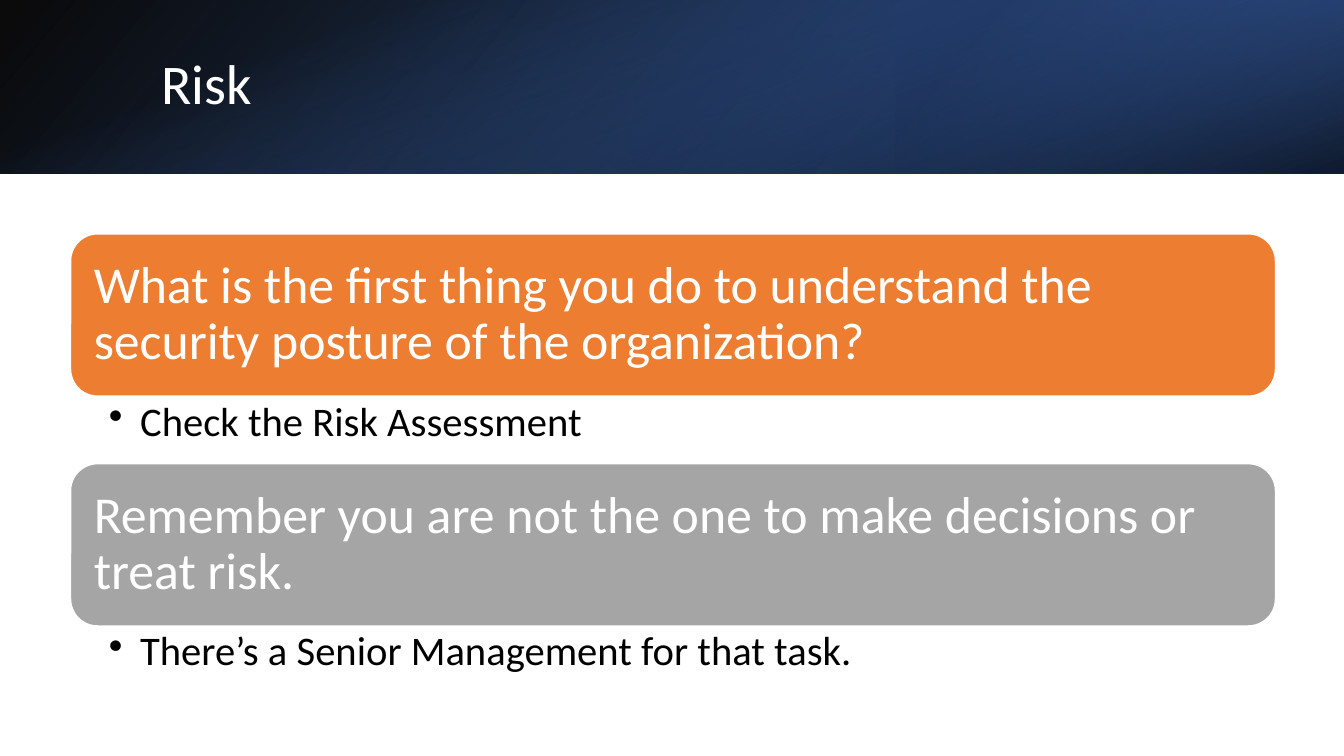
from dataclasses import dataclass

from lxml.etree import SubElement
from pptx import Presentation
from pptx.dml.color import RGBColor
from pptx.enum.shapes import MSO_SHAPE
from pptx.enum.text import MSO_ANCHOR, PP_ALIGN
from pptx.oxml.ns import qn
from pptx.shapes.autoshape import Shape
from pptx.slide import Slide
from pptx.util import Inches, Pt


@dataclass(frozen=True)
class Theme:
    """Colours, font and type sizes of the slide."""
    font: str = "Calibri"
    white: str = "FFFFFF"
    black: str = "000000"
    deep_blue: str = "2F5597"
    navy: str = "203864"
    blue: str = "4472C4"
    orange: str = "ED7D31"
    gray: str = "A5A5A5"
    title_size: int = 40
    card_size: int = 37
    bullet_size: int = 29


@dataclass(frozen=True)
class Frame:
    """A rectangle in inches."""
    left: float
    top: float
    width: float
    height: float

    def lengths(self) -> tuple:
        """Return the four measures as lengths."""
        return tuple(map(Inches, (self.left, self.top, self.width, self.height)))


@dataclass(frozen=True)
class Stop:
    """A gradient stop; position and opacity are percentages."""
    position: int
    color: str
    opacity: int


@dataclass(frozen=True)
class BannerLayer:
    """One translucent gradient layer of the title banner."""
    frame: Frame
    stops: tuple[Stop, ...]
    angle: int
    rotation: int = 0
    mirrored: bool = False


@dataclass(frozen=True)
class Topic:
    """A coloured statement and the bullet below it."""
    statement: str
    answer: str
    color: str


THEME = Theme()
SLIDE_WIDTH, SLIDE_HEIGHT = 13.33, 7.5
BANNER_HEIGHT = 1.72
TURNED_OFFSET = (SLIDE_WIDTH - BANNER_HEIGHT) / 2
CARD_LEFT, CARD_TOP, CARD_WIDTH, CARD_HEIGHT = 0.7, 2.32, 11.95, 1.61
CARD_INSET = 0.08
BULLET_HEIGHT = 0.67
BULLET_INDENT = 0.31

BANNER = (
    BannerLayer(Frame(0, 0, SLIDE_WIDTH, BANNER_HEIGHT),
                (Stop(0, THEME.black, 96), Stop(100, THEME.deep_blue, 100)),
                angle=140, mirrored=True),
    BannerLayer(Frame(SLIDE_WIDTH * 2 / 3, 0, SLIDE_WIDTH / 3, BANNER_HEIGHT),
                (Stop(19, THEME.navy, 68), Stop(100, THEME.blue, 79)),
                angle=320, rotation=180, mirrored=True),
    BannerLayer(Frame(TURNED_OFFSET, -TURNED_OFFSET, BANNER_HEIGHT, SLIDE_WIDTH),
                (Stop(23, THEME.blue, 0), Stop(99, THEME.black, 74)),
                angle=340, rotation=90),
)
TOPICS = (
    Topic("What is the first thing you do to understand the security posture "
          "of the organization?", "Check the Risk Assessment", THEME.orange),
    Topic("Remember you are not the one to make decisions or treat risk.",
          "There’s a Senior Management for that task.", THEME.gray),
)


def rgb(color: str) -> RGBColor:
    """Turn a hex string into a colour."""
    return RGBColor.from_string(color)


def set_gradient(shape: Shape, stops: tuple[Stop, ...], angle: int) -> None:
    """Fill a shape with a linear gradient of translucent stops."""
    shape.fill.gradient()
    gradient = shape.element.spPr.find(qn("a:gradFill"))
    gradient.clear()
    gradient.set("rotWithShape", "1")
    stop_list = SubElement(gradient, qn("a:gsLst"))
    for stop in stops:
        node = SubElement(stop_list, qn("a:gs"), pos=str(stop.position * 1000))
        color = SubElement(node, qn("a:srgbClr"), val=stop.color)
        SubElement(color, qn("a:alpha"), val=str(stop.opacity * 1000))
    SubElement(gradient, qn("a:lin"), ang=str(angle * 60000), scaled="0")


def add_layer(page: Slide, layer: BannerLayer) -> None:
    """Draw one layer of the banner."""
    shape = page.shapes.add_shape(MSO_SHAPE.RECTANGLE, *layer.frame.lengths())
    shape.shadow.inherit = False
    shape.line.fill.background()
    shape.rotation = layer.rotation
    if layer.mirrored:
        shape.element.spPr.find(qn("a:xfrm")).set("flipH", "1")
    set_gradient(shape, layer.stops, layer.angle)


def add_text(page: Slide, frame: Frame, text: str, size: int, color: str,
             insets: tuple[float, float, float, float] = (0.1, 0.05, 0.1, 0.05),
             anchor: MSO_ANCHOR = MSO_ANCHOR.MIDDLE, bulleted: bool = False) -> None:
    """Add one wrapped paragraph; insets run left, top, right, bottom."""
    body = page.shapes.add_textbox(*frame.lengths()).text_frame
    body.word_wrap = True
    body.vertical_anchor = anchor
    (body.margin_left, body.margin_top,
     body.margin_right, body.margin_bottom) = map(Inches, insets)
    para = body.paragraphs[0]
    para.text = text
    para.alignment = PP_ALIGN.LEFT
    para.line_spacing = 0.9
    para.font.name = THEME.font
    para.font.size = Pt(size)
    para.font.color.rgb = rgb(color)
    if bulleted:
        add_bullet(para)


def add_bullet(para) -> None:
    """Give a paragraph a hanging round bullet."""
    properties = para._p.get_or_add_pPr()
    properties.set("marL", str(Inches(BULLET_INDENT)))
    properties.set("indent", str(-Inches(BULLET_INDENT)))
    bullet = properties.makeelement(qn("a:buChar"), {"char": "•"})
    properties.find(qn("a:defRPr")).addprevious(bullet)


def add_topic(page: Slide, topic: Topic, top: float) -> None:
    """Draw a statement card with its bullet."""
    card = page.shapes.add_shape(
        MSO_SHAPE.ROUNDED_RECTANGLE,
        *Frame(CARD_LEFT, top, CARD_WIDTH, CARD_HEIGHT).lengths())
    card.shadow.inherit = False
    card.fill.solid()
    card.fill.fore_color.rgb = rgb(topic.color)
    card.line.color.rgb = rgb(THEME.white)
    card.line.width = Pt(1)
    inner = Frame(CARD_LEFT + CARD_INSET, top + CARD_INSET,
                  CARD_WIDTH - 2 * CARD_INSET, CARD_HEIGHT - 2 * CARD_INSET)
    add_text(page, inner, topic.statement, THEME.card_size, THEME.white,
             insets=(0.15, 0.15, 0.15, 0.15))
    below = Frame(CARD_LEFT, top + CARD_HEIGHT, CARD_WIDTH, BULLET_HEIGHT)
    add_text(page, below, topic.answer, THEME.bullet_size, THEME.black,
             insets=(0.38, 0.05, 0.29, 0.05), anchor=MSO_ANCHOR.TOP, bulleted=True)


def main() -> None:
    """Build and save the slide."""
    deck = Presentation()
    deck.slide_width, deck.slide_height = Inches(SLIDE_WIDTH), Inches(SLIDE_HEIGHT)
    page = deck.slides.add_slide(deck.slide_layouts[6])
    for layer in BANNER:
        add_layer(page, layer)
    add_text(page, Frame(1.5, 0.38, 10.98, 0.96), "Risk",
             THEME.title_size, THEME.white)
    for row, topic in enumerate(TOPICS):
        add_topic(page, topic, CARD_TOP + row * (CARD_HEIGHT + BULLET_HEIGHT))
    deck.save("out.pptx")


main()
